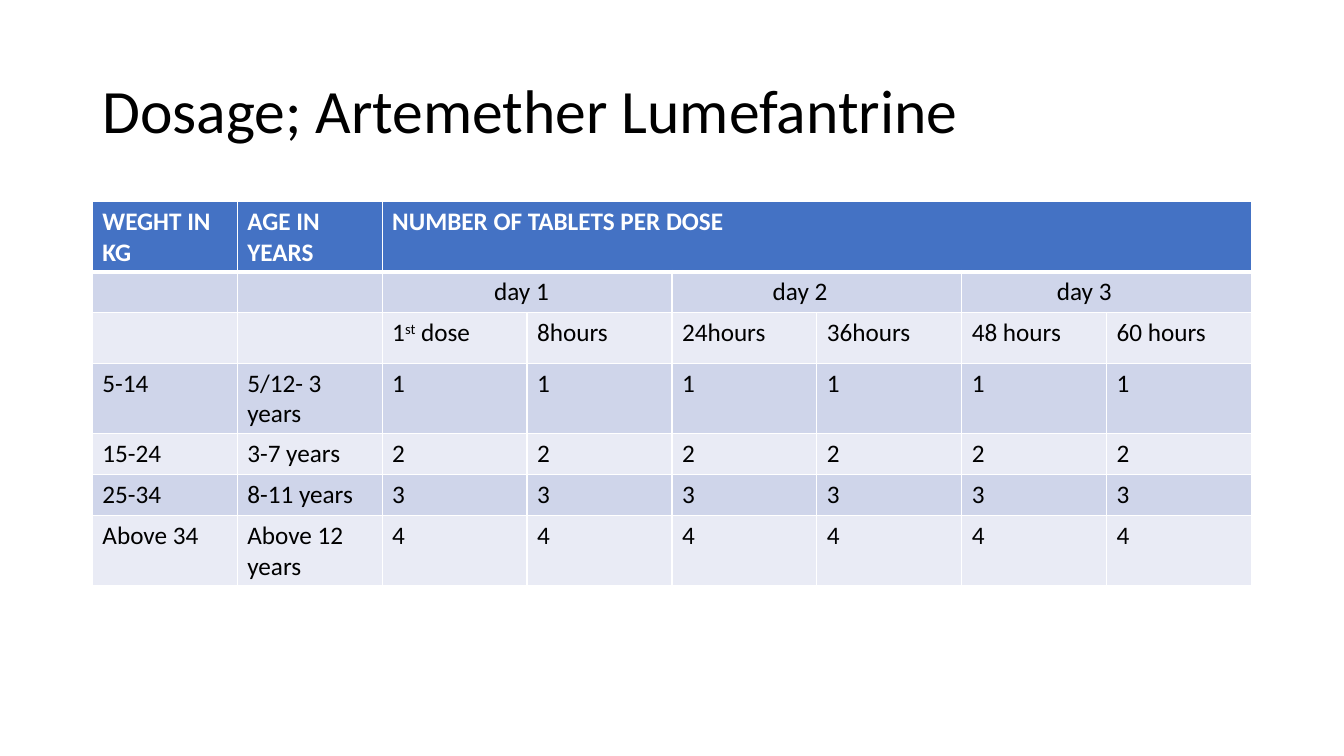
from dataclasses import dataclass

from lxml.etree import SubElement
from pptx import Presentation
from pptx.dml.color import RGBColor
from pptx.enum.text import MSO_ANCHOR
from pptx.oxml.ns import qn
from pptx.util import Pt


@dataclass(frozen=True)
class Theme:
    """Colours, font and type sizes of the slide."""
    font: str = "Calibri"
    title_size: int = 44
    table_size: int = 18
    ink: str = "000000"
    paper: str = "FFFFFF"
    header: str = "4472C4"
    bands: tuple = ("CFD5EA", "E9EBF5")


THEME = Theme()
HEADINGS = ("WEGHT IN KG", "AGE IN YEARS", "NUMBER OF TABLETS PER DOSE")
DAYS = (("day 1", 80), ("day 2", 72), ("day 3", 68))
TIMES = ("1st dose", "8hours", "24hours", "36hours", "48 hours", "60 hours")
GROUPS = (
    ("5-14", "5/12- 3 years", 1),
    ("15-24", "3-7 years", 2),
    ("25-34", "8-11 years", 3),
    ("Above 34", "Above 12 years", 4),
)


def style_paragraph(paragraph, size, color, bold=False):
    """Set the font of a whole paragraph."""
    font = paragraph.font
    font.name, font.size, font.bold = THEME.font, Pt(size), bold
    font.color.rgb = RGBColor.from_string(color)


def add_borders(cell, bottom_width):
    """Draw thin cell borders with a bottom edge of the given width."""
    properties = cell._tc.get_or_add_tcPr()
    for side, width in (("L", 1), ("R", 1), ("T", 1), ("B", bottom_width)):
        line = SubElement(properties, qn(f"a:ln{side}"), w=str(Pt(width)))
        fill = SubElement(line, qn("a:solidFill"))
        SubElement(fill, qn("a:srgbClr"), val=THEME.paper)


def write_ordinal(paragraph, text):
    """Write a one-digit ordinal with its suffix raised."""
    for part, raised in ((text[0], False), (text[1:3], True), (text[3:], False)):
        run = paragraph.add_run()
        run.text = part
        if raised:
            run._r.get_or_add_rPr().set("baseline", "30000")


def add_title(slide, left, top, width, height):
    """Place the slide title in its box."""
    title = slide.shapes.add_textbox(Pt(left), Pt(top), Pt(width), Pt(height)).text_frame
    title.word_wrap = True
    title.vertical_anchor = MSO_ANCHOR.MIDDLE
    heading = title.paragraphs[0]
    heading.text = "Dosage; Artemether Lumefantrine"
    heading.line_spacing = 0.9
    style_paragraph(heading, THEME.title_size, THEME.ink)


def add_dosage_table(slide, left, top, width, row_height, times_height):
    """Place the table of tablets per dose by weight and age."""
    day_cells = [text for day, _ in DAYS for text in (day, "")]
    rows = [
        [*HEADINGS, *[""] * (len(TIMES) - 1)],
        ["", "", *day_cells],
        ["", "", *TIMES],
        *([weight, age, *[str(tablets)] * len(TIMES)] for weight, age, tablets in GROUPS),
    ]
    columns = len(rows[0])
    height = row_height * (len(rows) - 1) + times_height
    dosage = slide.shapes.add_table(
        len(rows), columns, Pt(left), Pt(top), Pt(width), Pt(height)).table
    for column in dosage.columns:
        column.width = Pt(width / columns)
    for r, texts in enumerate(rows):
        is_header = r == 0
        dosage.rows[r].height = Pt(times_height if r == 2 else row_height)
        for c, text in enumerate(texts):
            cell = dosage.cell(r, c)
            add_borders(cell, 3 if is_header else 1)
            cell.fill.solid()
            fill = THEME.header if is_header else THEME.bands[(r - 1) % 2]
            cell.fill.fore_color.rgb = RGBColor.from_string(fill)
            paragraph = cell.text_frame.paragraphs[0]
            if text == TIMES[0]:
                write_ordinal(paragraph, text)
            elif text:
                paragraph.text = text
            color = THEME.paper if is_header else THEME.ink
            style_paragraph(paragraph, THEME.table_size, color, is_header)
    dosage.cell(0, 2).merge(dosage.cell(0, columns - 1))
    for i, (_, inset) in enumerate(DAYS):
        day = dosage.cell(1, 2 + 2 * i)
        day.merge(dosage.cell(1, 3 + 2 * i))
        day.margin_left = Pt(inset)


def main():
    """Build and save the dosage slide."""
    deck = Presentation()
    deck.slide_width, deck.slide_height = Pt(960), Pt(540)
    slide = deck.slides.add_slide(deck.slide_layouts[6])
    add_title(slide, 66, 28.75, 828, 104.4)
    add_dosage_table(slide, 66, 143.75, 828, 29.2, 36)
    deck.save("out.pptx")


if __name__ == "__main__":
    main()
